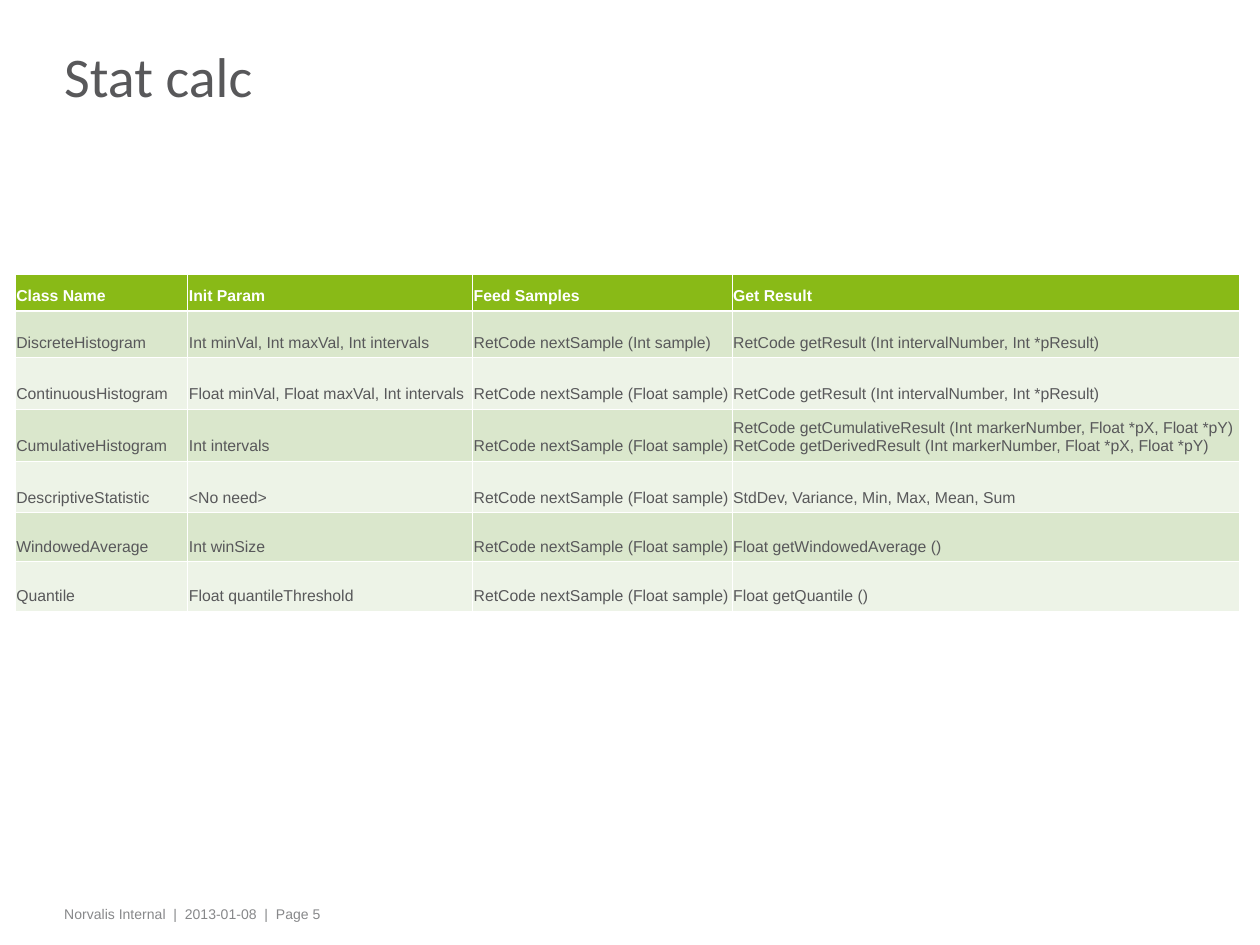
from pptx import Presentation
from pptx.dml.color import RGBColor
from pptx.enum.text import MSO_ANCHOR as Anchor
from pptx.oxml.ns import qn
from pptx.util import Inches, Pt
from lxml.etree import SubElement


def paint(target, color):
    if hasattr(target, "solid"):
        target.solid()
        target.fore_color.rgb = RGBColor.from_string(color)
    else:
        target.color.rgb = RGBColor.from_string(color)


def add_line(left, top, width, height, text, font_name, size, color, inset):
    frame = slide.shapes.add_textbox(
        Inches(left), Inches(top), Inches(width), Inches(height)
    ).text_frame
    frame.word_wrap = True
    frame.margin_left = frame.margin_right = Inches(0.08)
    frame.margin_top = frame.margin_bottom = Inches(inset)
    frame.text = text
    line = frame.paragraphs[0]
    line.font.name = font_name
    line.font.size = Pt(size)
    paint(line.font, color)
    return frame


prs = Presentation()
prs.slide_width = Inches(10)
prs.slide_height = Inches(7.5)
slide = prs.slides.add_slide(prs.slide_layouts[6])

footer = add_line(0.43, 7.14, 8.09, 0.24, "Norvalis Internal  |  2013-01-08  |  Page 5",
                  "Arial", 8, "87888A", 0.05)
footer.paragraphs[0].space_before = Pt(5)

title = add_line(0.43, 0.26, 8.2, 0.78, "Stat calc", "Calibri", 32, "58585A", 0)
title.vertical_anchor = Anchor.MIDDLE
title.paragraphs[0].line_spacing = 0.75

float_sample = "RetCode nextSample (Float sample)"
interval_result = "RetCode getResult (Int intervalNumber, Int *pResult)"
class_rows = [
    ("Class Name", "Init Param", "Feed Samples", "Get Result"),
    ("DiscreteHistogram", "Int minVal, Int maxVal, Int intervals",
     "RetCode nextSample (Int sample)", interval_result),
    ("ContinuousHistogram", "Float minVal, Float maxVal, Int intervals",
     float_sample, interval_result),
    ("CumulativeHistogram", "Int intervals", float_sample,
     "RetCode getCumulativeResult (Int markerNumber, Float *pX, Float *pY)\v"
     "RetCode getDerivedResult (Int markerNumber, Float *pX, Float *pY)"),
    ("DescriptiveStatistic", "<No need>", float_sample,
     "StdDev, Variance, Min, Max, Mean, Sum"),
    ("WindowedAverage", "Int winSize", float_sample, "Float getWindowedAverage ()"),
    ("Quantile", "Float quantileThreshold", float_sample, "Float getQuantile ()"),
]
column_widths = [1.37, 2.26, 2.06, 4.03]
row_heights = [0.29, 0.37, 0.41, 0.41, 0.41, 0.39, 0.39]

classes = slide.shapes.add_table(
    len(class_rows), len(column_widths), Inches(0.12), Inches(2.18),
    Inches(sum(column_widths)), Inches(sum(row_heights))
).table
for column, width in zip(classes.columns, column_widths):
    column.width = Inches(width)

for r, (texts, height) in enumerate(zip(class_rows, row_heights)):
    classes.rows[r].height = Inches(height)
    is_header = r == 0
    row_fill = "89BA17" if is_header else ("EDF3E7", "DAE7CC")[r % 2]
    border_widths = {"lnL": 0.45, "lnR": 0.45,
                     "lnT": 1.47 if r == 1 else 0.45,
                     "lnB": 1.47 if is_header else 0.45}
    for c, text in enumerate(texts):
        cell = classes.cell(r, c)
        cell.margin_left = cell.margin_right = Inches(0.01)
        cell.margin_top = cell.margin_bottom = Inches(0.05)
        cell.vertical_anchor = Anchor.BOTTOM
        cell.text = text
        entry = cell.text_frame.paragraphs[0]
        entry.font.name = "Arial"
        entry.font.size = Pt(9)
        entry.font.bold = is_header
        paint(entry.font, "FFFFFF" if is_header else "58585A")
        for side, points in border_widths.items():
            border = SubElement(cell._tc.get_or_add_tcPr(), qn(f"a:{side}"), w=str(Pt(points)))
            SubElement(SubElement(border, qn("a:solidFill")), qn("a:srgbClr"), val="FFFFFF")
        paint(cell.fill, row_fill)

prs.save("out.pptx")
